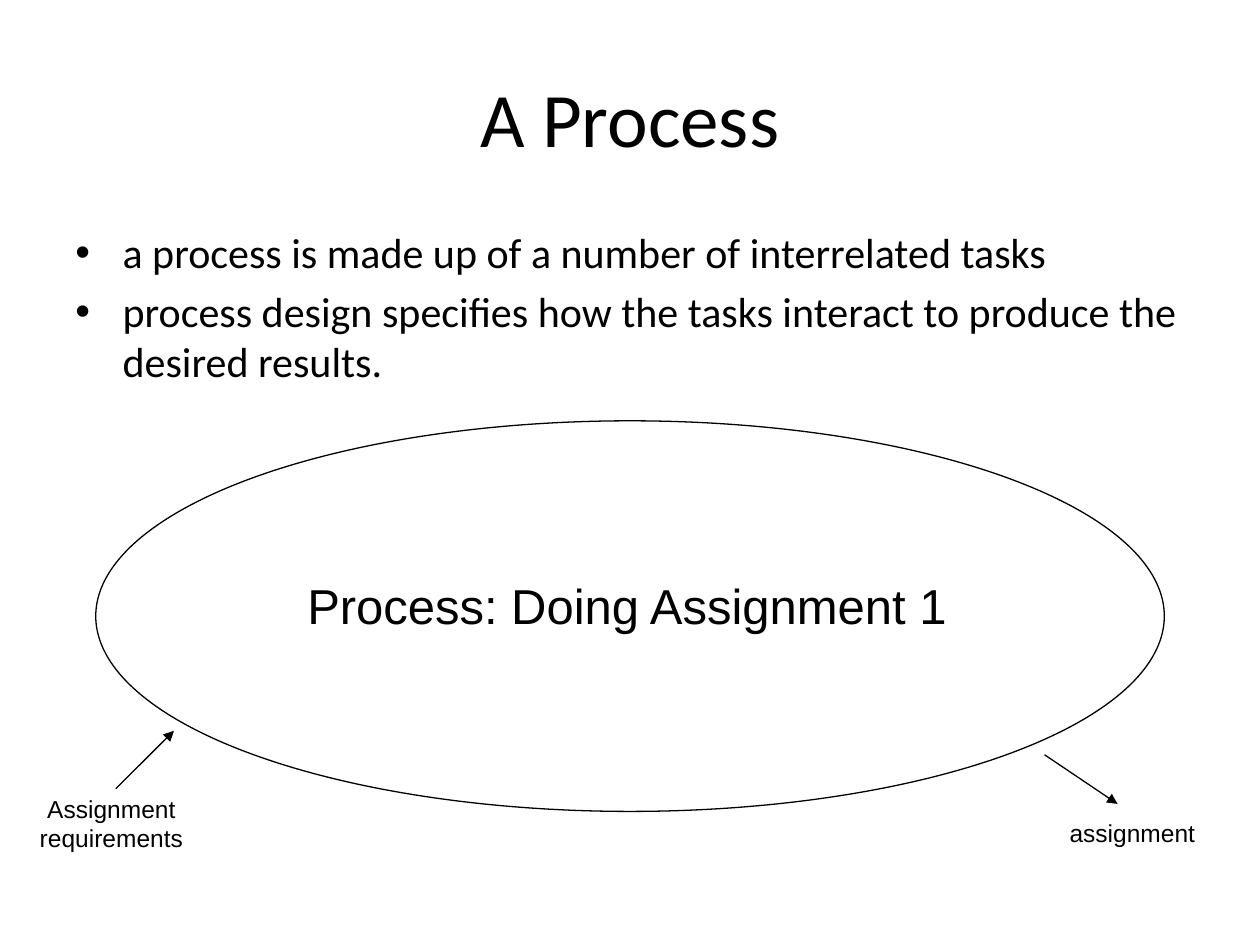
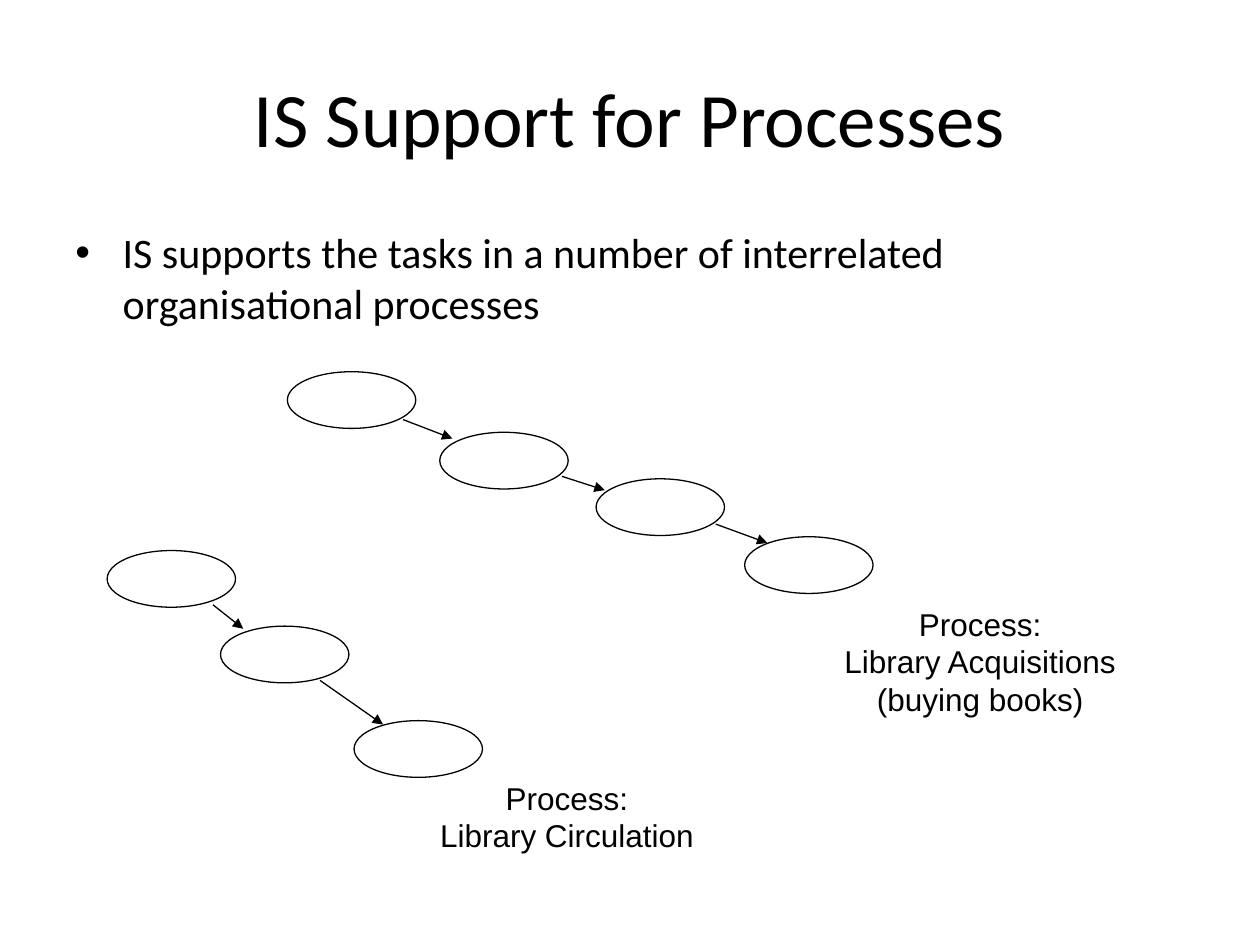
from lxml import etree
from pptx import Presentation
from pptx.dml.color import RGBColor
from pptx.enum.shapes import MSO_CONNECTOR, MSO_SHAPE
from pptx.enum.text import MSO_ANCHOR, MSO_AUTO_SIZE, PP_ALIGN
from pptx.oxml.ns import qn
from pptx.util import Pt

OVAL = MSO_SHAPE.OVAL
STRAIGHT = MSO_CONNECTOR.STRAIGHT
LEFT, CENTER = PP_ALIGN.LEFT, PP_ALIGN.CENTER
TOP, MIDDLE = MSO_ANCHOR.TOP, MSO_ANCHOR.MIDDLE
FIXED, GROW = MSO_AUTO_SIZE.NONE, MSO_AUTO_SIZE.SHAPE_TO_FIT_TEXT

INK = "000000"
HEADING_FONT, LABEL_FONT = "Calibri", "Arial"
LINE_WIDTH = 0.75
TITLE_BOX = (36, 21.6, 648, 90)
BODY_BOX = (36, 126, 648, 356.4)
BULLET_INDENT = 27
BULLET_GAP = 4.8
TASK_SIZE = (73.4, 32.4)

# Ovals: left, top, width, height. Arrows: start x, start y, end x, end y.
# Labels: lines, box, text size, alignment.
PROCESS_SLIDE = {
    "title": "A Process",
    "bullets": [
        "a process is made up of a number of interrelated tasks",
        "process design specifies how the tasks interact to produce the desired results.",
    ],
    "ovals": [(54.7, 240.5, 610.6, 223.2)],
    "arrows": [(66.2, 450.7, 99.4, 417.6), (596.9, 431.3, 638.6, 459.4)],
    "labels": [
        (["Process: Doing Assignment 1"], (168.5, 325.4, 411.8, 41), 28, LEFT),
        (["Assignment", "requirements"], (12.2, 450, 103, 41), 14, CENTER),
        (["assignment"], (604.1, 463.7, 92.2, 23.8), 14, LEFT),
    ],
}

ACQUISITION_TASKS = [(164.2, 212.4), (251.3, 247), (340.6, 273.6), (425.5, 306.7)]
CIRCULATION_TASKS = [(61.2, 314.6), (126, 357.8), (202.3, 411.8)]
SUPPORT_SLIDE = {
    "title": "IS Support for Processes",
    "bullets": [
        "IS supports the tasks in a number of interrelated organisational processes",
    ],
    "ovals": [corner + TASK_SIZE for corner in ACQUISITION_TASKS + CIRCULATION_TASKS],
    "arrows": [
        (230.4, 239.8, 258.5, 250.6),
        (321.1, 272.2, 345.6, 280.1),
        (409, 299.5, 438.5, 310.3),
        (121.7, 345.6, 139, 359.3),
        (182.9, 388.8, 218.9, 414),
    ],
    "labels": [
        (["Process:", "Library Acquisitions", "(buying books)"],
         (465.8, 342, 188.6, 72), 18, CENTER),
        (["Process:", "Library Circulation"], (236.9, 441.4, 174.2, 50.4), 18, CENTER),
    ],
}


def color(hex_string):
    return RGBColor.from_string(hex_string)


def points(values):
    return [Pt(value) for value in values]


def write(text_frame, lines, font_name, size, alignment, bulleted=False):
    for index, line in enumerate(lines):
        paragraph = text_frame.paragraphs[0] if index == 0 else text_frame.add_paragraph()
        paragraph.alignment = alignment
        if bulleted:
            add_bullet(paragraph)
            paragraph.space_before = Pt(BULLET_GAP if index else 0)
        run = paragraph.add_run()
        run.text = line
        run.font.name = font_name
        run.font.size = Pt(size)
        run.font.color.rgb = color(INK)


def add_bullet(paragraph):
    properties = paragraph._p.get_or_add_pPr()
    properties.set("marL", str(Pt(BULLET_INDENT)))
    properties.set("indent", str(-Pt(BULLET_INDENT)))
    etree.SubElement(properties, qn("a:buFont")).set("typeface", "Arial")
    etree.SubElement(properties, qn("a:buChar")).set("char", "•")


def set_title(slide, text):
    title = slide.shapes.title
    title.left, title.top, title.width, title.height = points(TITLE_BOX)
    frame = title.text_frame
    frame.auto_size = FIXED
    frame.vertical_anchor = MIDDLE
    write(frame, [text], HEADING_FONT, 44, CENTER)


def add_body(slide, bullets):
    frame = slide.shapes.add_textbox(*points(BODY_BOX)).text_frame
    frame.word_wrap = True
    frame.auto_size = FIXED
    frame.vertical_anchor = TOP
    write(frame, bullets, HEADING_FONT, 24, LEFT, bulleted=True)


def add_oval(slide, box):
    oval = slide.shapes.add_shape(OVAL, *points(box))
    oval.shadow.inherit = False
    oval.fill.background()
    oval.line.color.rgb = color(INK)
    oval.line.width = Pt(LINE_WIDTH)


def add_arrow(slide, ends):
    arrow = slide.shapes.add_connector(STRAIGHT, *points(ends))
    arrow.line.color.rgb = color(INK)
    arrow.line.width = Pt(LINE_WIDTH)
    etree.SubElement(arrow.line._get_or_add_ln(), qn("a:tailEnd")).set("type", "triangle")
    etree.SubElement(arrow._element.spPr, qn("a:effectLst"))


def add_label(slide, lines, box, size, alignment):
    frame = slide.shapes.add_textbox(*points(box)).text_frame
    frame.word_wrap = False
    frame.auto_size = GROW
    write(frame, lines, LABEL_FONT, size, alignment)


def add_slide(presentation, content):
    title_only = presentation.slide_layouts.get_by_name("Title Only")
    slide = presentation.slides.add_slide(title_only)
    set_title(slide, content["title"])
    add_body(slide, content["bullets"])
    for box in content["ovals"]:
        add_oval(slide, box)
    for ends in content["arrows"]:
        add_arrow(slide, ends)
    for label in content["labels"]:
        add_label(slide, *label)


def main():
    presentation = Presentation()
    presentation.slide_width, presentation.slide_height = Pt(720), Pt(540)
    for content in (PROCESS_SLIDE, SUPPORT_SLIDE):
        add_slide(presentation, content)
    presentation.save("out.pptx")


if __name__ == "__main__":
    main()
